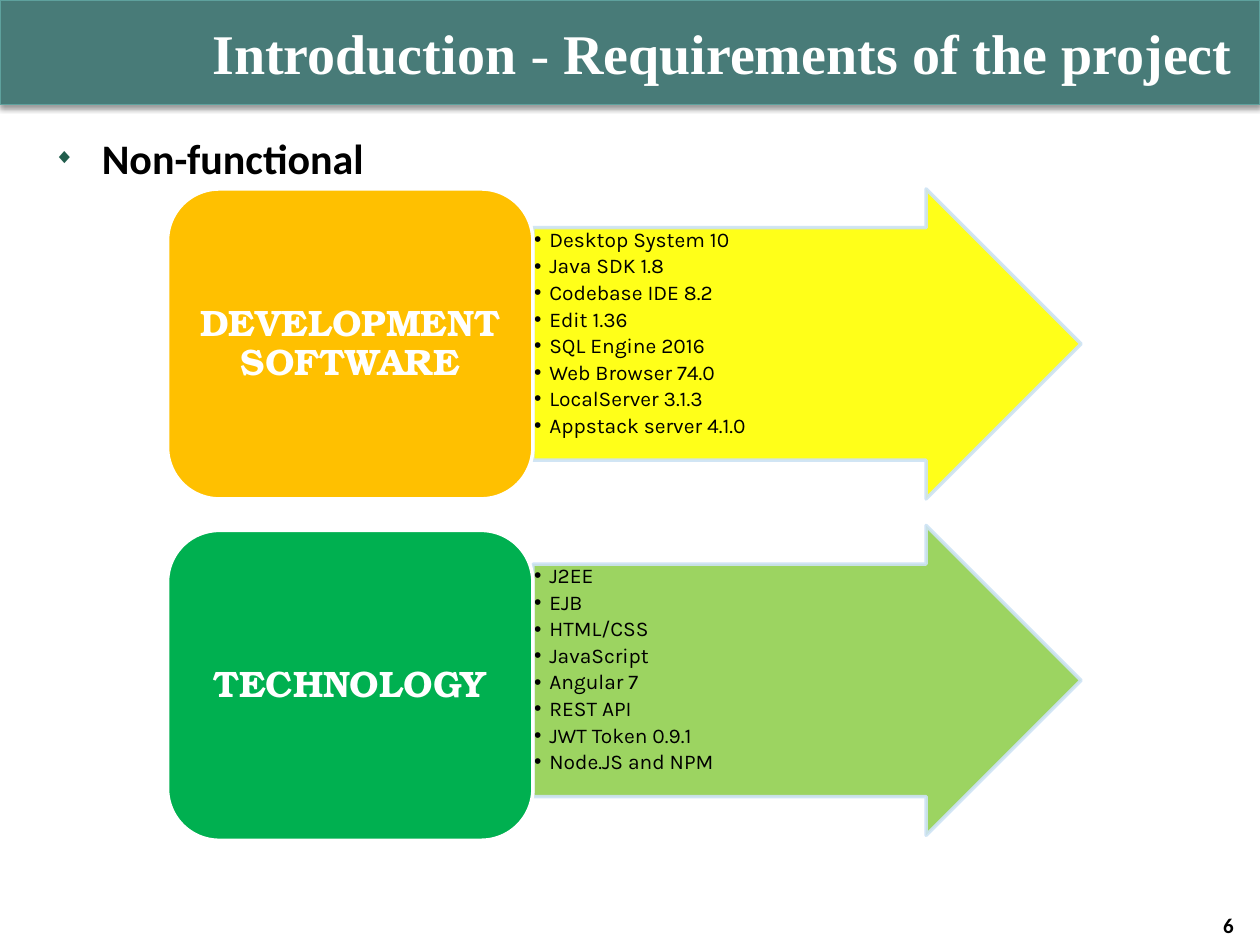
from lxml.etree import SubElement
from pptx import Presentation
from pptx.dml.color import RGBColor
from pptx.enum.shapes import MSO_SHAPE
from pptx.enum.text import MSO_ANCHOR, PP_ALIGN
from pptx.oxml.ns import qn
from pptx.util import Inches, Pt

HUES = {
    "white": "FFFFFF", "black": "000000", "teal": "487B78", "edge": "5EA19D",
    "mark": "215D4C", "amber": "FFC000", "yellow": "FFFF00",
    "green": "00B050", "lime": "92D050", "pale": "CDE3F5",
}
TOOLS = ["Desktop System 10", "Java SDK 1.8", "Codebase IDE 8.2", "Edit 1.36",
         "SQL Engine 2016", "Web Browser 74.0", "LocalServer 3.1.3",
         "Appstack server 4.1.0"]
TECHS = ["J2EE", "EJB", "HTML/CSS", "JavaScript", "Angular 7", "REST API",
         "JWT Token 0.9.1", "Node.JS and NPM"]
# Label, items, box fill, arrow fill, arrow top, box top
ROWS = [
    ("DEVELOPMENT SOFTWARE", TOOLS, "amber", "yellow", 1.5, 1.5),
    ("TECHNOLOGY", TECHS, "green", "lime", 4.17, 4.21),
]
TALL = 2.46


def hue(name):
    return RGBColor.from_string(HUES[name])


def apply(item, form):
    for key, value in form.items():
        setattr(item, key, value)


def fade(color, share):
    node = color.find(".//" + qn("a:srgbClr"))
    SubElement(node, qn("a:alpha"), val=str(share * 1000))


def shape(slide, kind, at, fill, line, width):
    form = slide.shapes.add_shape(kind, *map(Inches, at))
    form.shadow.inherit = False
    form.fill.solid()
    form.fill.fore_color.rgb = hue(fill)
    form.line.color.rgb = hue(line)
    form.line.width = Pt(width)
    return form


def shade(form):
    """Soft shadow straight below the form."""
    list_ = form._element.spPr.find(qn("a:effectLst"))
    drop = SubElement(list_, qn("a:outerShdw"), blurRad=str(Pt(3.1)),
                      dist=str(Pt(1.6)), dir="5400000", rotWithShape="0")
    tint = SubElement(drop, qn("a:srgbClr"), val=HUES["black"])
    SubElement(tint, qn("a:alpha"), val="38000")


def bullet(para, sign, dent, tint="black", size=100):
    props = para._p.get_or_add_pPr()
    props.set("marL", str(Inches(dent)))
    props.set("indent", str(-Inches(dent)))
    color = SubElement(props, qn("a:buClr"))
    SubElement(color, qn("a:srgbClr"), val=HUES[tint])
    SubElement(props, qn("a:buSzPct"), val=str(size * 1000))
    SubElement(props, qn("a:buFont"), typeface="Arial")
    SubElement(props, qn("a:buChar"), char=sign)


def text(slide, at, paras, font, tint="black", pad=(0.1, 0.05),
         anchor=MSO_ANCHOR.TOP, **look):
    """Each paragraph is a list of (words, bold) runs."""
    frame = slide.shapes.add_textbox(*map(Inches, at)).text_frame
    side, edge = map(Inches, pad)
    apply(frame, {"word_wrap": True, "vertical_anchor": anchor,
                  "margin_left": side, "margin_right": side,
                  "margin_top": edge, "margin_bottom": edge})
    for i, runs in enumerate(paras):
        para = frame.paragraphs[0] if i == 0 else frame.add_paragraph()
        apply(para, look)
        for words, bold in runs:
            run = para.add_run()
            run.text = words
            apply(run.font, {"name": font[0], "size": Pt(font[1]), "bold": bold})
            run.font.color.rgb = hue(tint)
    return frame


def row(slide, label, items, fill, tone, top, base):
    # Arrow with its list
    arrow = shape(slide, MSO_SHAPE.RIGHT_ARROW, (4.23, top, 4.35, TALL),
                  tone, "pale", 2)
    arrow.adjustments[0], arrow.adjustments[1] = 0.75, 0.5
    props = arrow._element.spPr
    for part in ("a:solidFill", "a:ln"):
        fade(props.find(qn(part)), 90)
    frame = text(slide, (4.23, top + 0.31, 3.43, 1.84),
                 [[(item, False)] for item in items], ("Karla", 12),
                 pad=(0.01, 0.01), line_spacing=0.9, space_after=Pt(2.2))
    for para in frame.paragraphs:
        bullet(para, "•", 0.12)

    # Rounded box with its label
    shape(slide, MSO_SHAPE.ROUNDED_RECTANGLE, (1.33, base, 2.9, TALL),
          fill, "white", 2)
    text(slide, (1.45, base + 0.12, 2.66, 2.22), [[(label, True)]],
         ("TeX Gyre Bonum", 21), "white", (0.09, 0.04), MSO_ANCHOR.MIDDLE,
         alignment=PP_ALIGN.CENTER, line_spacing=0.9)


def main():
    deck = Presentation()
    apply(deck, {"slide_width": Inches(10), "slide_height": Inches(7.5)})
    slide = deck.slides.add_slide(deck.slide_layouts[6])

    # Header band and title
    shade(shape(slide, MSO_SHAPE.RECTANGLE, (0, 0, 10, 0.83),
                "teal", "edge", 0.75))
    title = [("Introduction ", True), ("- ", False),
             ("Requirements of the project", True)]
    text(slide, (0.58, 0.08, 9.2, 0.67), [title], ("Times New Roman", 32),
         "white", (0, 0.05), MSO_ANCHOR.MIDDLE, alignment=PP_ALIGN.RIGHT)

    # Topic
    topic = text(slide, (0.33, 1, 9.42, 0.5), [[("Non-functional", True)]],
                 ("Calibri", 24))
    bullet(topic.paragraphs[0], "◆", 0.38, "mark", 50)

    # Requirement rows
    for entry in ROWS:
        row(slide, *entry)

    # Page number
    text(slide, (0.12, 7.25, 9.77, 0.18), [[("6", True)]], ("Calibri", 12),
         pad=(0.1, 0), anchor=MSO_ANCHOR.MIDDLE, alignment=PP_ALIGN.RIGHT)

    deck.save("out.pptx")


if __name__ == "__main__":
    main()
